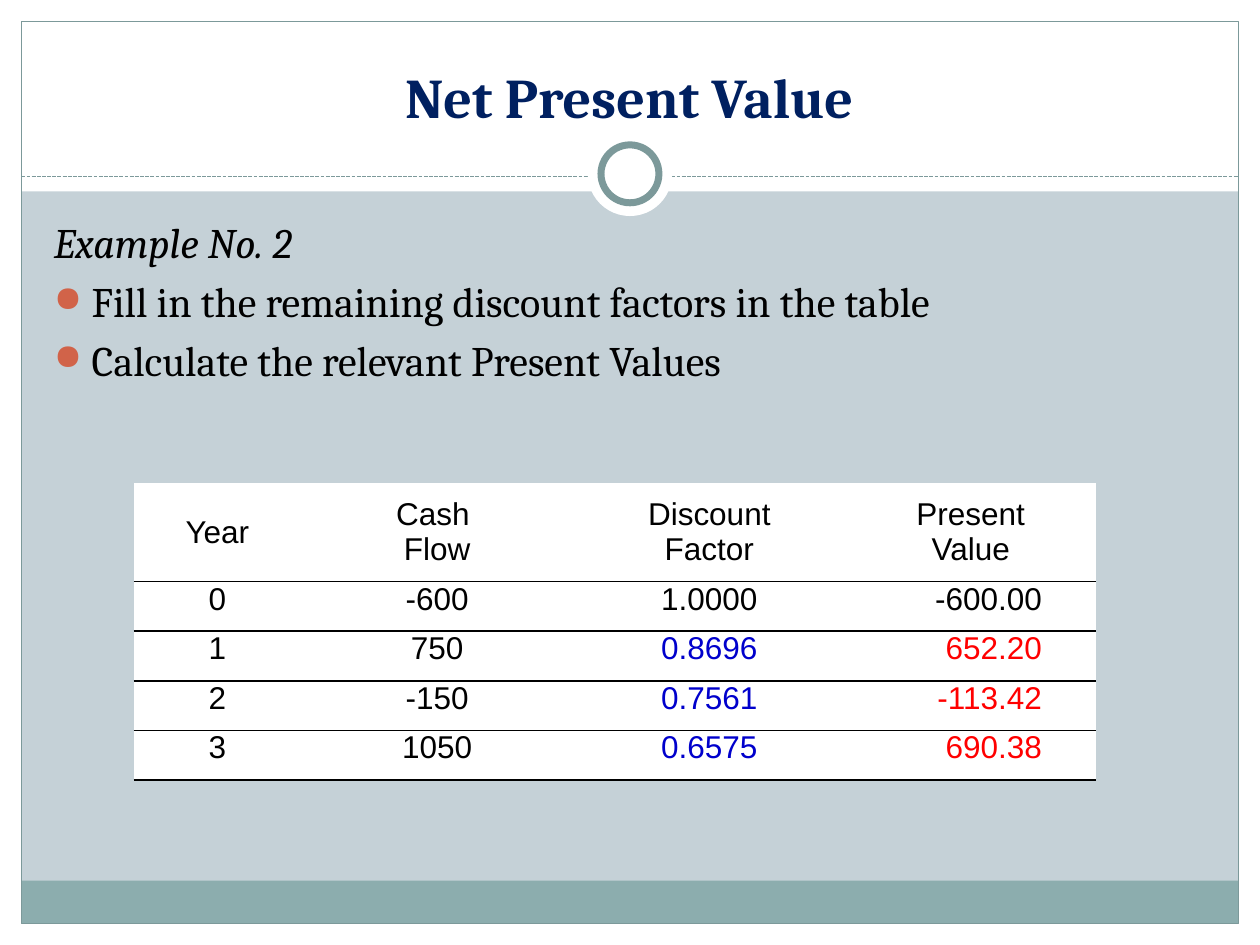
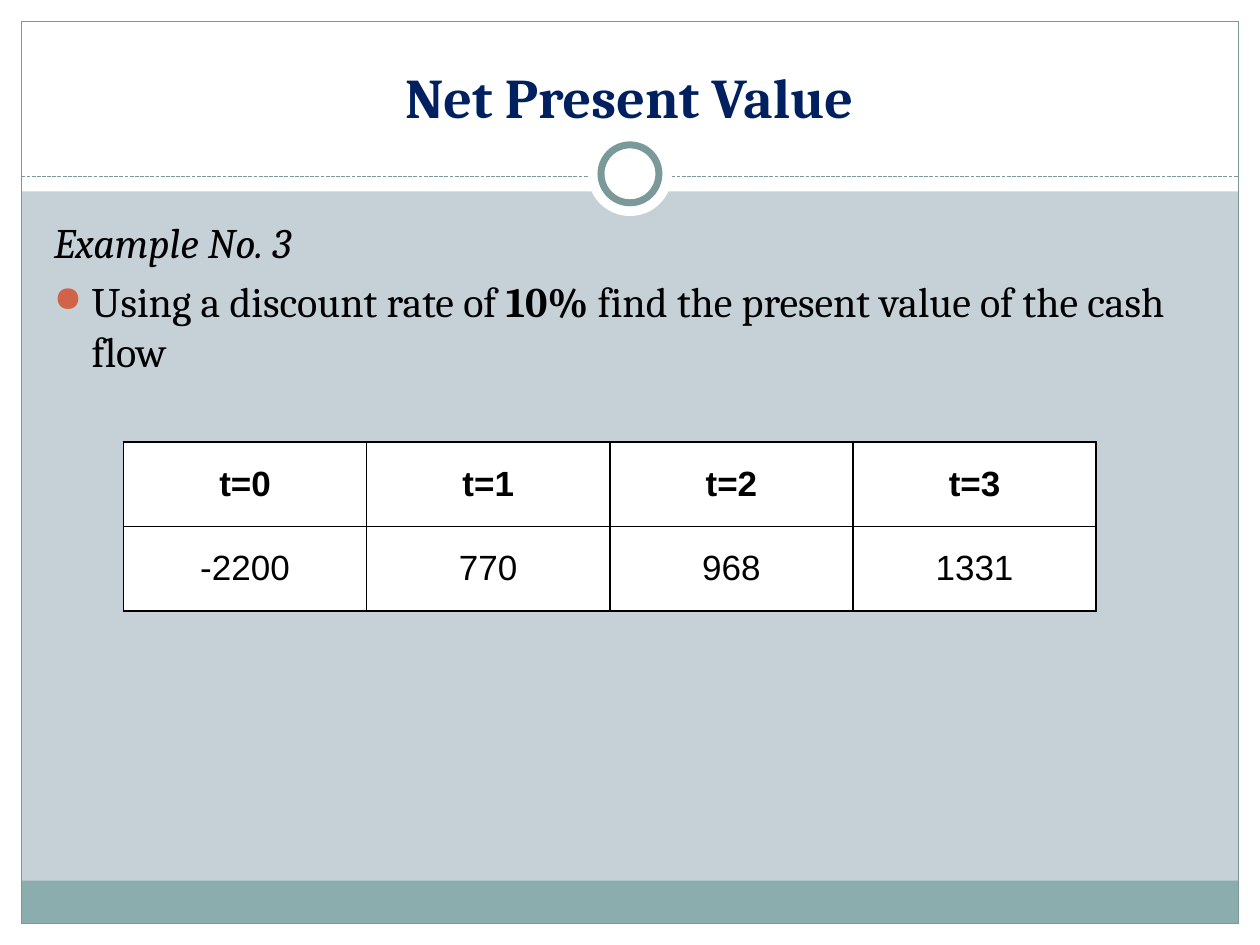
from dataclasses import dataclass

import pptx
import pptx.dml.color
import pptx.enum.dml
import pptx.enum.shapes
import pptx.enum.text
import pptx.oxml
import pptx.oxml.ns
import pptx.util
from pptx.util import Inches

WIDTH, HEIGHT, MARGIN = 10, 7.5, 0.17
HEADER_BOTTOM, RULE_Y = 1.52, 1.4
WHITE, BLACK, BACKGROUND = "FFFFFF", "000000", "C5D1D7"
BAND, OUTLINE, BULLET = "8CADAE", "7C999A", "D16349"
TITLE, FACTOR, VALUE = "002060", "0000CC", "FF0000"
SERIF, SANS = "Cambria", "Arial"
BODY_SIZE = 24

SHAPE = pptx.enum.shapes.MSO_SHAPE
ALIGN = pptx.enum.text.PP_ALIGN
ANCHOR = pptx.enum.text.MSO_ANCHOR
NO_STYLE = "{2D5ABB26-0587-4C30-8999-92F81FD0307C}"


@dataclass
class Box:
    x: float
    y: float
    w: float
    h: float

    def emu(self) -> tuple:
        return tuple(Inches(v) for v in (self.x, self.y, self.w, self.h))


@dataclass
class Run:
    text: str
    size: float
    font: str = SERIF
    color: str = BLACK
    bold: bool = False
    italic: bool = False


@dataclass
class Cell:
    text: str
    color: str = BLACK
    bold: bool = False
    middle: bool = False
    align: int = ALIGN.CENTER
    right_inset: float = 0.08


@dataclass
class Grid:
    x: float
    y: float
    col_widths: list
    row_heights: list
    rows: list
    size: float
    edges: str


@dataclass
class Example:
    heading: str
    bullets: list
    grid: Grid


def rgb(color: str) -> pptx.dml.color.RGBColor:
    return pptx.dml.color.RGBColor.from_string(color)


def xml(tag: str, attrs: str = "", inner: str = ""):
    ns = pptx.oxml.ns.nsdecls("a")
    return pptx.oxml.parse_xml(f"<a:{tag} {ns} {attrs}>{inner}</a:{tag}>")


def add_run(p, run: Run) -> None:
    r = p.add_run()
    r.text = run.text
    r.font.size = pptx.util.Pt(run.size)
    r.font.name = run.font
    r.font.bold = run.bold
    r.font.italic = run.italic
    r.font.color.rgb = rgb(run.color)


def add_panel(slide, box: Box, fill: str = "", line: str = "",
              line_width: float = 0.75, kind=SHAPE.RECTANGLE) -> None:
    sp = slide.shapes.add_shape(kind, *box.emu())
    sp.shadow.inherit = False
    if fill:
        sp.fill.solid()
        sp.fill.fore_color.rgb = rgb(fill)
    else:
        sp.fill.background()
    if line:
        sp.line.color.rgb = rgb(line)
        sp.line.width = pptx.util.Pt(line_width)
    else:
        sp.line.fill.background()


def add_circle(slide, diameter: float, **style) -> None:
    """Draw a circle on the centre of the ring that sits over the rule."""
    box = Box((WIDTH - diameter) / 2, 1.38 - diameter / 2, diameter, diameter)
    add_panel(slide, box, WHITE, kind=SHAPE.OVAL, **style)


def add_text_frame(slide, box: Box):
    tf = slide.shapes.add_textbox(*box.emu()).text_frame
    tf.word_wrap = True
    return tf


def add_frame(slide) -> None:
    """Draw the white border, footer band, outline, dashed rule and ring."""
    slide.background.fill.solid()
    slide.background.fill.fore_color.rgb = rgb(BACKGROUND)
    inner_w, inner_h = WIDTH - 2 * MARGIN, HEIGHT - 2 * MARGIN
    for border in (Box(0, HEIGHT - MARGIN, WIDTH, MARGIN),
                   Box(0, 0, WIDTH, HEADER_BOTTOM),
                   Box(0, 0, MARGIN, HEIGHT),
                   Box(WIDTH - MARGIN, 0, MARGIN, HEIGHT)):
        add_panel(slide, border, WHITE)
    add_panel(slide, Box(MARGIN, 6.99, inner_w, 0.34), BAND)
    add_panel(slide, Box(MARGIN, MARGIN, inner_w, inner_h), line=OUTLINE)
    rule = slide.shapes.add_connector(
        pptx.enum.shapes.MSO_CONNECTOR.STRAIGHT, Inches(MARGIN),
        Inches(RULE_Y), Inches(WIDTH - MARGIN), Inches(RULE_Y))
    rule.line.color.rgb = rgb(OUTLINE)
    rule.line.width = pptx.util.Pt(0.75)
    rule.line.dash_style = pptx.enum.dml.MSO_LINE.SQUARE_DOT
    rule._element.spPr.append(xml("effectLst"))
    add_circle(slide, 0.67)
    add_circle(slide, 0.46, line=OUTLINE, line_width=4)


def add_title(slide, text: str) -> None:
    tf = add_text_frame(slide, Box(0.33, 0.25, 9.33, 0.83))
    tf.vertical_anchor = ANCHOR.BOTTOM
    p = tf.paragraphs[0]
    p.alignment = ALIGN.CENTER
    add_run(p, Run(text, 32, color=TITLE, bold=True))


def add_bullet(p) -> None:
    pPr = p._p.get_or_add_pPr()
    pPr.set("marL", str(Inches(0.3)))
    pPr.set("indent", str(-Inches(0.3)))
    pPr.append(xml("buClr", inner=f'<a:srgbClr val="{BULLET}"/>'))
    pPr.append(xml("buSzPct", 'val="85000"'))
    pPr.append(xml("buChar", 'char="●"'))


def add_body(slide, heading: str, bullets: list) -> None:
    tf = add_text_frame(slide, Box(0.33, 1.67, 9.16, 5))
    add_run(tf.paragraphs[0], Run(heading, BODY_SIZE, italic=True))
    for runs in bullets:
        p = tf.add_paragraph()
        p.space_before = pptx.util.Pt(0.2 * BODY_SIZE)
        add_bullet(p)
        for run in runs:
            add_run(p, run)


def fill_cell(cell, content: Cell, size: float, edges: str) -> None:
    """Write a cell; edges names its ruled sides in the order L, R, T, B."""
    cell.fill.solid()
    cell.fill.fore_color.rgb = rgb(WHITE)
    cell.margin_left = Inches(0.08)
    cell.margin_right = Inches(content.right_inset)
    cell.margin_top = cell.margin_bottom = 0
    cell.vertical_anchor = ANCHOR.MIDDLE if content.middle else ANCHOR.TOP
    for i, line in enumerate(content.text.split("\n")):
        p = cell.text_frame.add_paragraph() if i else cell.text_frame.paragraphs[0]
        p.alignment = content.align
        add_run(p, Run(line, size, SANS, content.color, content.bold))
    ink = f'<a:solidFill><a:srgbClr val="{BLACK}"/></a:solidFill>'
    for i, edge in enumerate(edges):
        border = xml(f"ln{edge}", f'w="{pptx.util.Pt(1)}"', ink)
        cell._tc.get_or_add_tcPr().insert(i, border)


def add_grid(slide, grid: Grid) -> None:
    box = Box(grid.x, grid.y, sum(grid.col_widths), sum(grid.row_heights))
    table = slide.shapes.add_table(
        len(grid.rows), len(grid.col_widths), *box.emu()).table
    table.first_row = table.horz_banding = False
    table._tbl.tblPr.find(pptx.oxml.ns.qn("a:tableStyleId")).text = NO_STYLE
    for column, width in zip(table.columns, grid.col_widths):
        column.width = Inches(width)
    for i, (height, row) in enumerate(zip(grid.row_heights, grid.rows)):
        table.rows[i].height = Inches(height)
        for j, content in enumerate(row):
            fill_cell(table.cell(i, j), content, grid.size, grid.edges)


def npv_row(year: str, flow: str, factor: str, value: str,
            solved: bool = True) -> list:
    """Return a year's cells, with worked-out answers in colour."""
    return [Cell(year), Cell(flow),
            Cell(factor, FACTOR if solved else BLACK),
            Cell(value, VALUE if solved else BLACK,
                 align=ALIGN.RIGHT, right_inset=0.43)]


ROW_UNIT = 2.36 / 6
NPV_GRID = Grid(
    1.06, 3.83, [1.33, 2.16, 2.16, 1.99], [2 * ROW_UNIT] + [ROW_UNIT] * 4,
    [[Cell(text, middle=True) for text in
      ("Year", "Cash \nFlow", "Discount\nFactor", "Present\nValue")],
     npv_row("0", "-600", "1.0000", "-600.00", solved=False),
     npv_row("1", "750", "0.8696", "652.20"),
     npv_row("2", "-150", "0.7561", "-113.42"),
     npv_row("3", "1050", "0.6575", "690.38")],
    18, "B")
CASH_FLOW_GRID = Grid(
    0.98, 3.51, [1.93] * 4, [0.67] * 2,
    [[Cell(f"t={t}", bold=True, middle=True) for t in range(4)],
     [Cell(flow, middle=True) for flow in ("-2200", "770", "968", "1331")]],
    20, "LRTB")

EXAMPLES = [
    Example("Example No. 2",
            [[Run("Fill in the remaining discount factors in the table", BODY_SIZE)],
             [Run("Calculate the relevant Present Values", BODY_SIZE)]],
            NPV_GRID),
    Example("Example No. 3",
            [[Run("Using a discount rate of ", BODY_SIZE),
              Run("10%", BODY_SIZE, bold=True),
              Run(" find the present value of the cash flow", BODY_SIZE)]],
            CASH_FLOW_GRID),
]


def main() -> None:
    prs = pptx.Presentation()
    prs.slide_width, prs.slide_height = Inches(WIDTH), Inches(HEIGHT)
    for example in EXAMPLES:
        slide = prs.slides.add_slide(prs.slide_layouts[6])
        add_frame(slide)
        add_title(slide, "Net Present Value")
        add_body(slide, example.heading, example.bullets)
        add_grid(slide, example.grid)
    prs.save("out.pptx")


if __name__ == "__main__":
    main()
